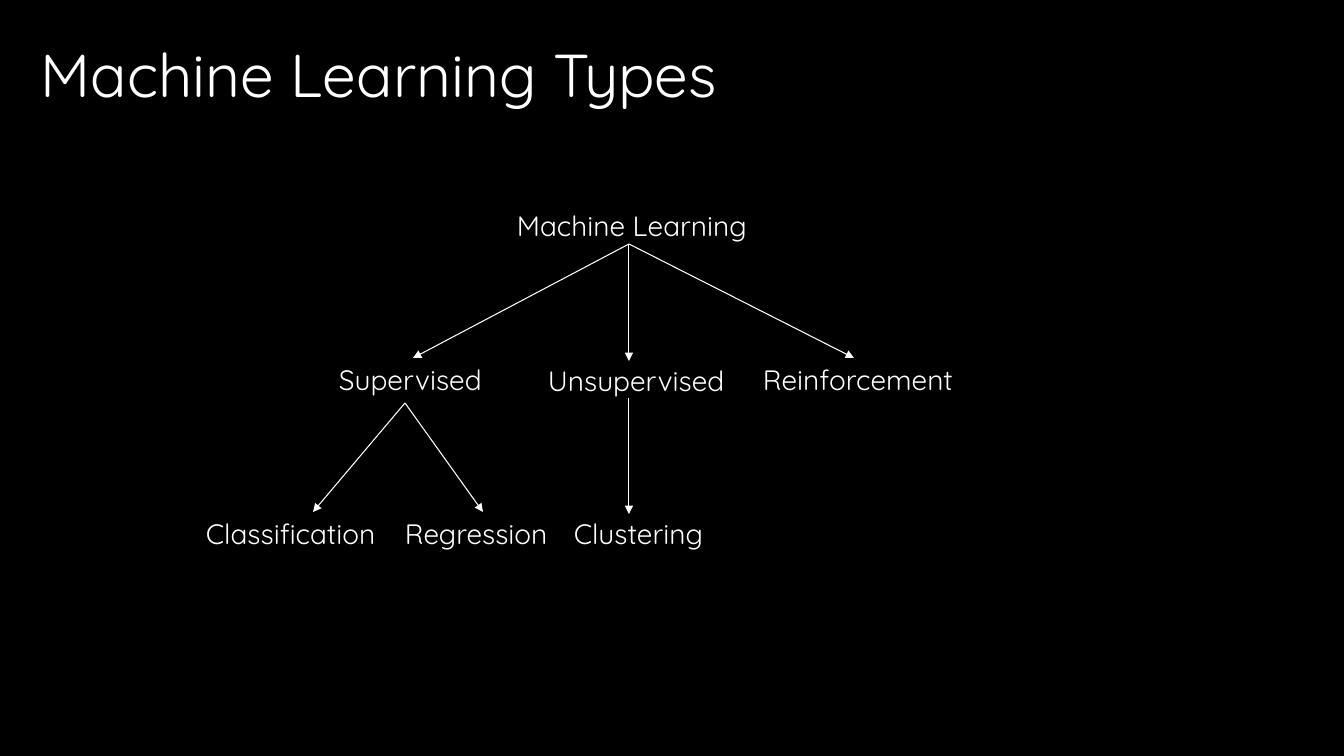
import pptx
import pptx.util
import pptx.dml.color
import pptx.enum.shapes
import pptx.enum.text
import pptx.oxml.ns
from lxml import etree

COLORS = {"background": "000000", "ink": "FFFFFF"}
EMU_PER_PX = 12192000 / 1344


def px(n):
    return pptx.util.Emu(round(n * EMU_PER_PX))


def rgb(name):
    return pptx.dml.color.RGBColor.from_string(COLORS[name])


def write(tf, text, size=20, color="ink", font="Quicksand", spacing=1.0):
    p = tf.paragraphs[0]
    p.line_spacing = spacing
    r = p.add_run()
    r.text = text
    r.font.name = font
    r.font.size = pptx.util.Pt(size)
    r.font.color.rgb = rgb(color)


class Diagram:
    line_width = 0.75
    label_height = 44

    def __init__(self, prs):
        self.s = prs.slides.add_slide(prs.slide_layouts[6])
        fill = self.s.background.fill
        fill.solid()
        fill.fore_color.rgb = rgb("background")

    def box(self, x, y, w, h):
        return self.s.shapes.add_textbox(px(x), px(y), px(w), px(h)).text_frame

    def title(self, text, x, y, w, h):
        tf = self.box(x, y, w, h)
        tf.word_wrap = True
        tf.vertical_anchor = pptx.enum.text.MSO_ANCHOR.BOTTOM
        write(tf, text, size=43.2, spacing=0.9)

    def label(self, text, x, y, w):
        tf = self.box(x, y, w, self.label_height)
        tf.word_wrap = False
        tf.auto_size = pptx.enum.text.MSO_AUTO_SIZE.SHAPE_TO_FIT_TEXT
        write(tf, text)

    def arrow(self, start, end):
        sp = self.s.shapes.add_connector(
            pptx.enum.shapes.MSO_CONNECTOR.STRAIGHT, *map(px, start + end))
        sp.line.width = pptx.util.Pt(self.line_width)
        sp.line.color.rgb = rgb("ink")
        qn = pptx.oxml.ns.qn
        etree.SubElement(sp.line._get_or_add_ln(), qn("a:tailEnd"), type="triangle")
        etree.SubElement(sp._element.spPr, qn("a:effectLst"))


def main():
    prs = pptx.Presentation()
    prs.slide_width, prs.slide_height = px(1344), px(756)
    d = Diagram(prs)
    d.title("Machine Learning Types", 31, 36, 824, 80)

    labels = [
        ("Machine Learning", 507, 204, 269),
        ("Supervised", 329, 358, 168),
        ("Unsupervised", 538, 359, 201),
        ("Reinforcement", 753, 358, 223),
        ("Classification", 196, 512, 199),
        ("Regression", 395, 512, 165),
        ("Clustering", 564, 512, 155),
    ]
    for label in labels:
        d.label(*label)

    branches = {
        (629, 244): [(413, 358), (629, 361), (854, 358)],
        (405, 403): [(313, 512), (483, 512)],
        (629, 398): [(629, 514)],
    }
    for start, ends in branches.items():
        for end in ends:
            d.arrow(start, end)

    prs.save("out.pptx")


if __name__ == "__main__":
    main()
